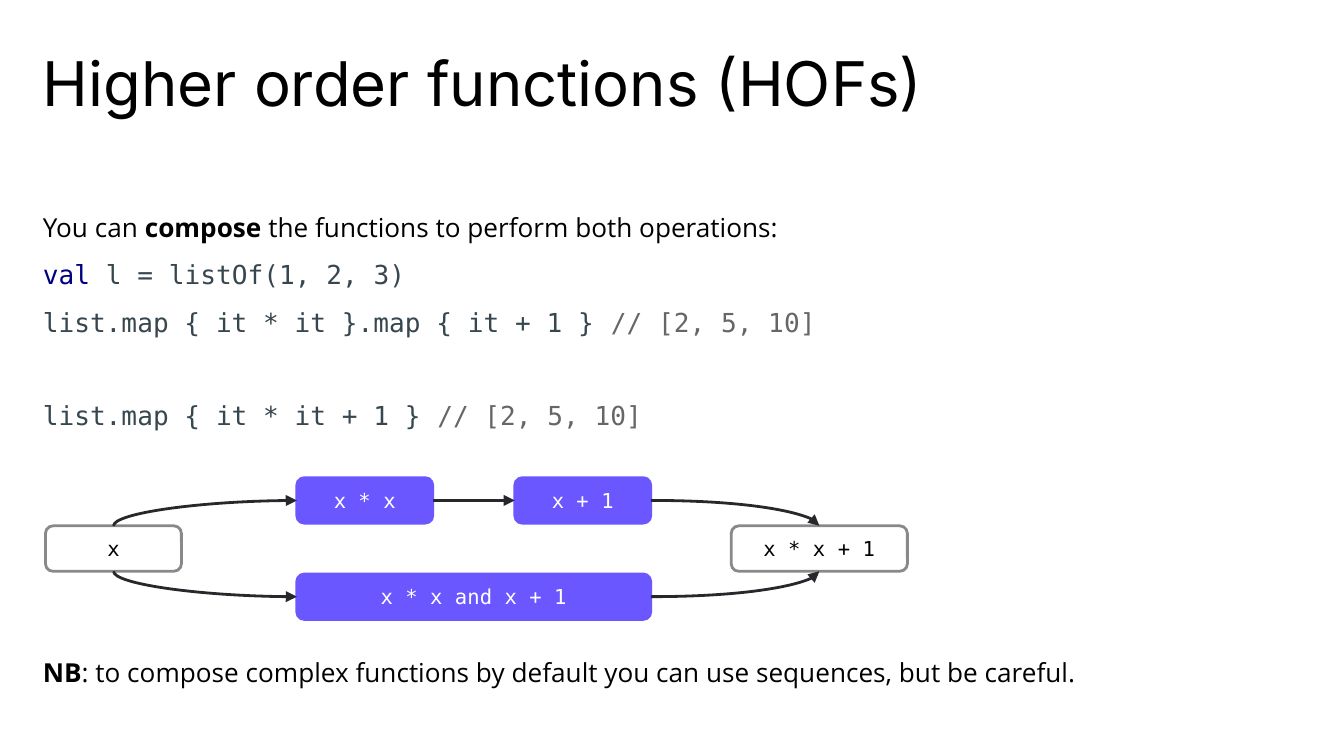
"""Build the slide on composing higher order functions."""
from dataclasses import dataclass
from typing import Any

from lxml import etree
from pptx import Presentation
from pptx import util as u
from pptx.dml.color import RGBColor
from pptx.enum import shapes, text
from pptx.oxml import ns

HUES = {"black": "000000", "white": "FFFFFF", "key": "000080", "code": "37474F",
        "note": "666666", "edge": "898989", "fill": "6B57FF", "arrow": "27282C"}
SANS, MONO, HEAD = "Open Sans", "DejaVu Sans Mono", "Inter"


@dataclass
class Run:
    words: str
    face: str = MONO
    size: float = 14
    hue: str = "code"
    bold: bool = False


@dataclass
class Para:
    runs: list[Run]
    before: float = 0
    after: float = 0
    lead: float = 1.15


@dataclass
class Node:
    words: str
    left: float
    top: float
    width: float = 2.57
    full: bool = True
    high: float = 0.86

    @property
    def right(self) -> float:
        return self.left + self.width

    @property
    def mid(self) -> float:
        return self.left + self.width / 2

    @property
    def base(self) -> float:
        return self.top + self.high

    @property
    def axis(self) -> float:
        return self.top + self.high / 2


def tint(name: str) -> RGBColor:
    return RGBColor.from_string(HUES[name])


def apply(item: Any, form: dict[str, Any]) -> None:
    for key, value in form.items():
        setattr(item, key, value)


def write(para: Any, run: Run) -> None:
    part = para.add_run()
    part.text = run.words
    apply(part.font, {"name": run.face, "size": u.Pt(run.size), "bold": run.bold})
    part.font.color.rgb = tint(run.hue)


def block(slide: Any, area: tuple[float, ...], paras: list[Para],
          top: float = 0.2, base: float = 0) -> None:
    frame = slide.shapes.add_textbox(*map(u.Cm, area)).text_frame
    apply(frame, {"word_wrap": True, "margin_left": 0, "margin_right": 0,
                  "margin_top": u.Cm(top), "margin_bottom": u.Cm(base)})
    for i, item in enumerate(paras):
        para = frame.add_paragraph() if i else frame.paragraphs[0]
        apply(para, {"line_spacing": item.lead, "space_before": u.Pt(item.before),
                     "space_after": u.Pt(item.after)})
        for run in item.runs:
            write(para, run)


def box(slide: Any, node: Node) -> None:
    area = map(u.Cm, (node.left, node.top, node.width, node.high))
    shape = slide.shapes.add_shape(shapes.MSO_SHAPE.ROUNDED_RECTANGLE, *area)
    shape.shadow.inherit = False
    shape.fill.solid()
    shape.fill.fore_color.rgb = tint("fill" if node.full else "white")
    shape.line.color.rgb = tint("fill" if node.full else "edge")
    shape.line.width = u.Pt(1.5)
    sides = ("left", "top", "right", "bottom")
    apply(shape.text_frame, {f"margin_{side}": u.Cm(0.25) for side in sides})
    apply(shape.text_frame, {"word_wrap": True,
                             "vertical_anchor": text.MSO_ANCHOR.MIDDLE})
    para = shape.text_frame.paragraphs[0]
    para.alignment = text.PP_ALIGN.CENTER
    write(para, Run(node.words, size=11, hue="white" if node.full else "black"))


def arrow(slide: Any, x1: float, y1: float, x2: float, y2: float,
          steep: bool = False) -> None:
    """Draw a curved arrow; a steep one leaves its start vertically."""
    ends = (x1, y1, x2, y2)
    if steep:
        cx, cy, dx, dy = (x1 + x2) / 2, (y1 + y2) / 2, x2 - x1, y2 - y1
        ends = (cx + dy / 2, cy - dx / 2, cx - dy / 2, cy + dx / 2)
    link = slide.shapes.add_connector(shapes.MSO_CONNECTOR.CURVE, *map(u.Cm, ends))
    link.line.color.rgb = tint("arrow")
    link.line.width = u.Pt(1.5)
    props = link._element.spPr
    if y1 != y2:
        props.find(ns.qn("a:prstGeom")).set("prst", "curvedConnector2")
    if steep:
        props.find(ns.qn("a:xfrm")).set("rot", str(270 * 60000))
    etree.SubElement(props.find(ns.qn("a:ln")), ns.qn("a:tailEnd"), type="triangle")
    etree.SubElement(props, ns.qn("a:effectLst"))


def main() -> None:
    deck = Presentation()
    apply(deck, {"slide_width": u.Cm(25.4), "slide_height": u.Cm(14.29)})
    slide = deck.slides.add_slide(deck.slide_layouts[6])

    def say(words: str, bold: bool = False) -> Run:
        return Run(words, SANS, hue="black", bold=bold)

    result = Run("// [2, 5, 10]", hue="note")
    block(slide, (0.81, 3.71, 23.14, 4.62), [
        Para([say("You can "), say("compose", True),
              say(" the functions to perform both operations:")]),
        Para([Run("val", hue="key"), Run(" l = listOf(1, 2, 3)")], 6),
        Para([Run("list.map { it * it }.map { it + 1 } "), result], 6),
        Para([Run("list.map { it * it + 1 } "), result], 31, 6)])
    block(slide, (0.81, 0.81, 23.62, 1.27), [
        Para([Run("Higher order functions (HOFs)", HEAD, 33, "black")], lead=0.85)],
        0.25, 0.25)
    block(slide, (0.81, 12.12, 23.14, 1.27), [
        Para([say("NB", True), say(": to compose complex functions by default "
                                   "you can use sequences, but be careful.")], after=6)])

    start = Node("x", 0.86, 9.94, full=False)
    square = Node("x * x", 5.61, 9.03)
    plus = Node("x + 1", 9.73, 9.03)
    both = Node("x * x and x + 1", 5.61, 10.85, plus.right - square.left)
    end = Node("x * x + 1", 13.82, 9.94, 3.33, False)
    for node in (start, square, plus, both, end):
        box(slide, node)

    arrow(slide, start.mid, start.top, square.left, square.axis, True)
    arrow(slide, start.mid, start.base, both.left, both.axis, True)
    arrow(slide, square.right, square.axis, plus.left, plus.axis)
    arrow(slide, plus.right, plus.axis, end.mid, end.top)
    arrow(slide, both.right, both.axis, end.mid, end.base)
    deck.save("out.pptx")


if __name__ == "__main__":
    main()
